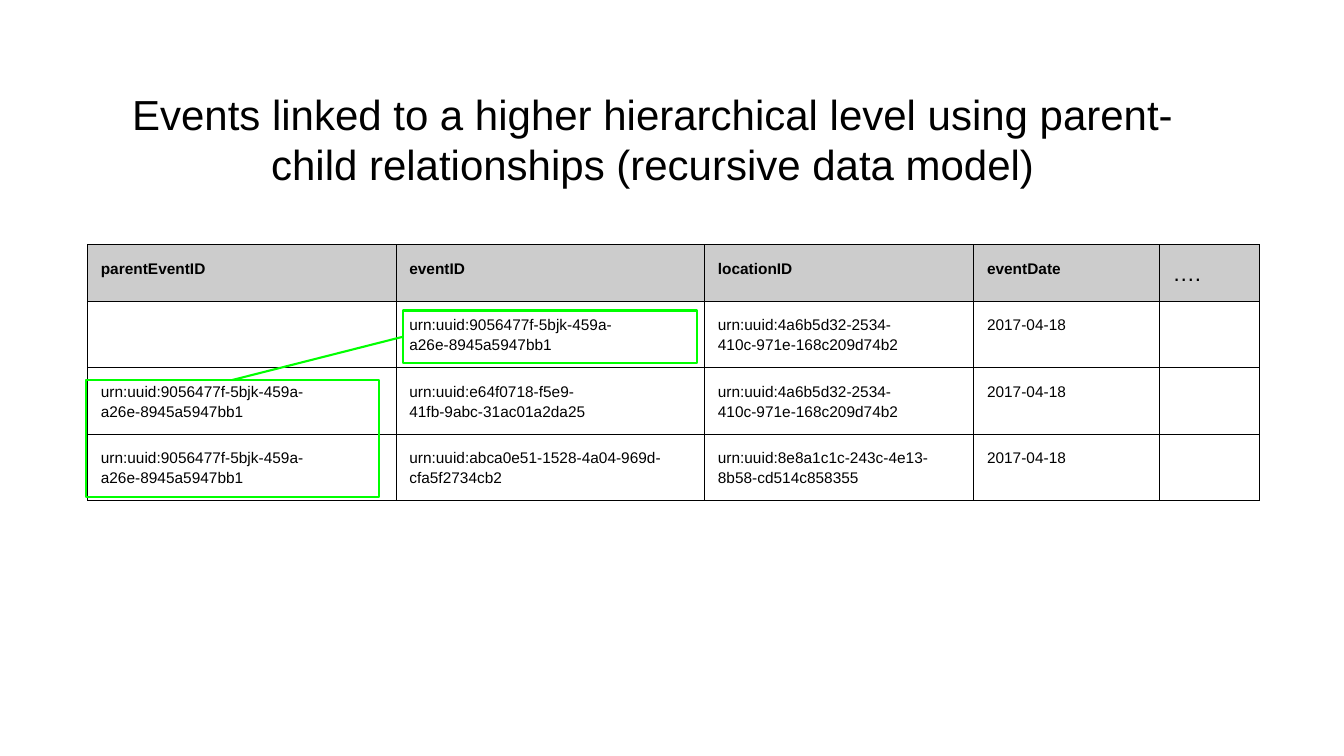
"""Builds a slide on events linked by parent-child relationships."""
import lxml.etree
import pptx
import pptx.dml.color
import pptx.enum.shapes
import pptx.enum.text
import pptx.oxml.ns
import pptx.util

Inches = pptx.util.Inches
Pt = pptx.util.Pt
qn = pptx.oxml.ns.qn
BLACK = pptx.dml.color.RGBColor(0x00, 0x00, 0x00)
HEADER_GREY = pptx.dml.color.RGBColor(0xCC, 0xCC, 0xCC)
LINK_GREEN = pptx.dml.color.RGBColor(0x00, 0xFF, 0x00)

PARENT_ID = "urn:uuid:9056477f-5bjk-459a-a26e-8945a5947bb1"
FIRST_LOCATION = "urn:uuid:4a6b5d32-2534-410c-971e-168c209d74b2"
SECOND_LOCATION = "urn:uuid:8e8a1c1c-243c-4e13-8b58-cd514c858355"
EVENT_DATE = "2017-04-18"
EVENTS = [
    ("parentEventID", "eventID", "locationID", "eventDate", "", "…."),
    ("", PARENT_ID, FIRST_LOCATION, EVENT_DATE, "", ""),
    (PARENT_ID, "urn:uuid:e64f0718-f5e9-41fb-9abc-31ac01a2da25",
     FIRST_LOCATION, EVENT_DATE, "", ""),
    (PARENT_ID, "urn:uuid:abca0e51-1528-4a04-969d-cfa5f2734cb2",
     SECOND_LOCATION, EVENT_DATE, "", ""),
]
COLUMN_WIDTHS = [3.06, 3.06, 2.67, 1.26, 0.58, 0.99]
ROW_HEIGHTS = [0.56, 0.66, 0.66, 0.66]
DATE_COLUMN = 3


class EventSlide:
    """Holds the slide and its style."""

    font_name = "Arial"
    cell_inset = Inches(0.13)
    link_width = Pt(1.5)

    def __init__(self, slide):
        self.slide = slide

    def style_text(self, paragraph, size, bold=False):
        """Formats the runs of a paragraph."""
        for run in paragraph.runs:
            run.font.name = self.font_name
            run.font.size = Pt(size)
            run.font.bold = bold
            run.font.color.rgb = BLACK

    def title(self, text, left, top, width, height):
        """Adds the centred slide title."""
        heading = self.slide.shapes.add_textbox(
            Inches(left), Inches(top), Inches(width), Inches(height))
        frame = heading.text_frame
        frame.word_wrap = True
        frame.vertical_anchor = pptx.enum.text.MSO_ANCHOR.MIDDLE
        frame.margin_left = frame.margin_right = Inches(0.1)
        frame.margin_top = frame.margin_bottom = Inches(0.1)
        frame.text = text
        frame.paragraphs[0].alignment = pptx.enum.text.PP_ALIGN.CENTER
        self.style_text(frame.paragraphs[0], 30)

    def cell_borders(self, cell):
        """Draws thin black borders on all four sides of a cell."""
        properties = cell._tc.get_or_add_tcPr()
        for side in ("a:lnL", "a:lnR", "a:lnT", "a:lnB"):
            border = lxml.etree.SubElement(
                properties, qn(side), w=str(Pt(0.75)))
            fill = lxml.etree.SubElement(border, qn("a:solidFill"))
            lxml.etree.SubElement(fill, qn("a:srgbClr"), val=str(BLACK))

    def event_cell(self, cell, text, is_header):
        """Fills in and formats one table cell."""
        self.cell_borders(cell)
        if is_header:
            cell.fill.solid()
            cell.fill.fore_color.rgb = HEADER_GREY
        else:
            cell.fill.background()
        cell.margin_left = cell.margin_right = self.cell_inset
        cell.margin_top = cell.margin_bottom = self.cell_inset
        if text:
            cell.text_frame.text = text
            paragraph = cell.text_frame.paragraphs[0]
            paragraph.line_spacing = 1.15
            is_ellipsis = text == "…."
            self.style_text(paragraph, 16 if is_ellipsis else 11,
                            is_header and not is_ellipsis)

    def event_table(self, rows, left, top):
        """Adds the table of events."""
        table = self.slide.shapes.add_table(
            len(rows), len(COLUMN_WIDTHS), Inches(left), Inches(top),
            Inches(sum(COLUMN_WIDTHS)), Inches(sum(ROW_HEIGHTS))).table
        table.first_row = table.horz_banding = False
        for column, width in zip(table.columns, COLUMN_WIDTHS):
            column.width = Inches(width)
        for row, height in zip(table.rows, ROW_HEIGHTS):
            row.height = Inches(height)
        for row_index, values in enumerate(rows):
            table.cell(row_index, DATE_COLUMN).merge(
                table.cell(row_index, DATE_COLUMN + 1))
            for column_index, value in enumerate(values):
                self.event_cell(table.cell(row_index, column_index), value,
                                row_index == 0)

    def green_line(self, line):
        """Applies the link colour and width to a line."""
        line.color.rgb = LINK_GREEN
        line.width = self.link_width

    def frame(self, left, top, width, height):
        """Adds a green frame around linked identifiers."""
        outline = self.slide.shapes.add_shape(
            pptx.enum.shapes.MSO_SHAPE.RECTANGLE,
            Inches(left), Inches(top), Inches(width), Inches(height))
        outline.shadow.inherit = False
        outline.fill.background()
        self.green_line(outline.line)
        return outline

    def link(self, parent, children):
        """Joins the left side of one frame to the top of another."""
        connector = self.slide.shapes.add_connector(
            pptx.enum.shapes.MSO_CONNECTOR.STRAIGHT, 0, 0, 0, 0)
        connector.begin_connect(parent, 1)
        connector.end_connect(children, 0)
        self.green_line(connector.line)
        lxml.etree.SubElement(connector._element.spPr, qn("a:effectLst"))


def main():
    """Builds and saves the presentation."""
    presentation = pptx.Presentation()
    presentation.slide_width = Inches(13.33)
    presentation.slide_height = Inches(7.5)
    events = EventSlide(
        presentation.slides.add_slide(presentation.slide_layouts[6]))
    events.event_table(EVENTS, 0.87, 2.43)
    children = events.frame(0.85, 3.77, 2.91, 1.16)
    parent = events.frame(4, 3.08, 2.91, 0.52)
    events.link(parent, children)
    events.title("Events linked to a higher hierarchical level using "
                 "parent-child relationships (recursive data model)",
                 1.13, 0.75, 10.69, 1.25)
    presentation.save("out.pptx")


if __name__ == "__main__":
    main()
